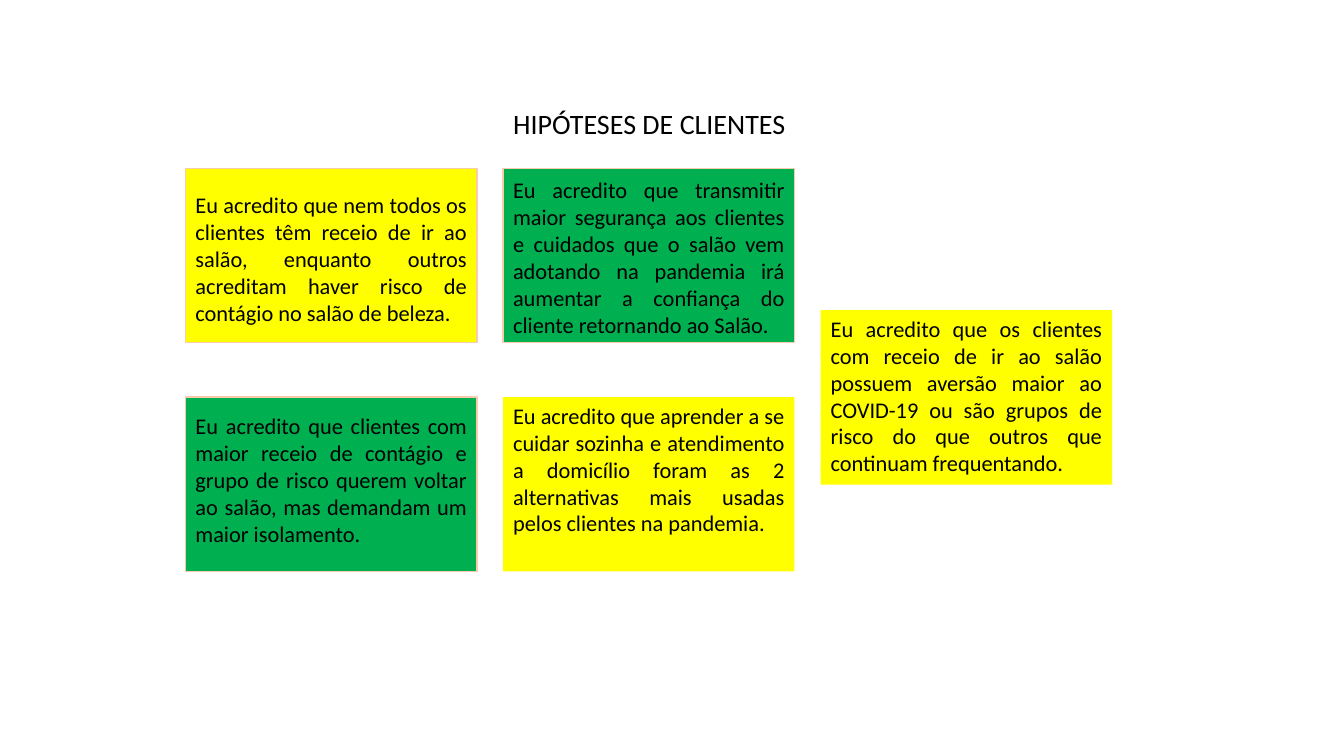
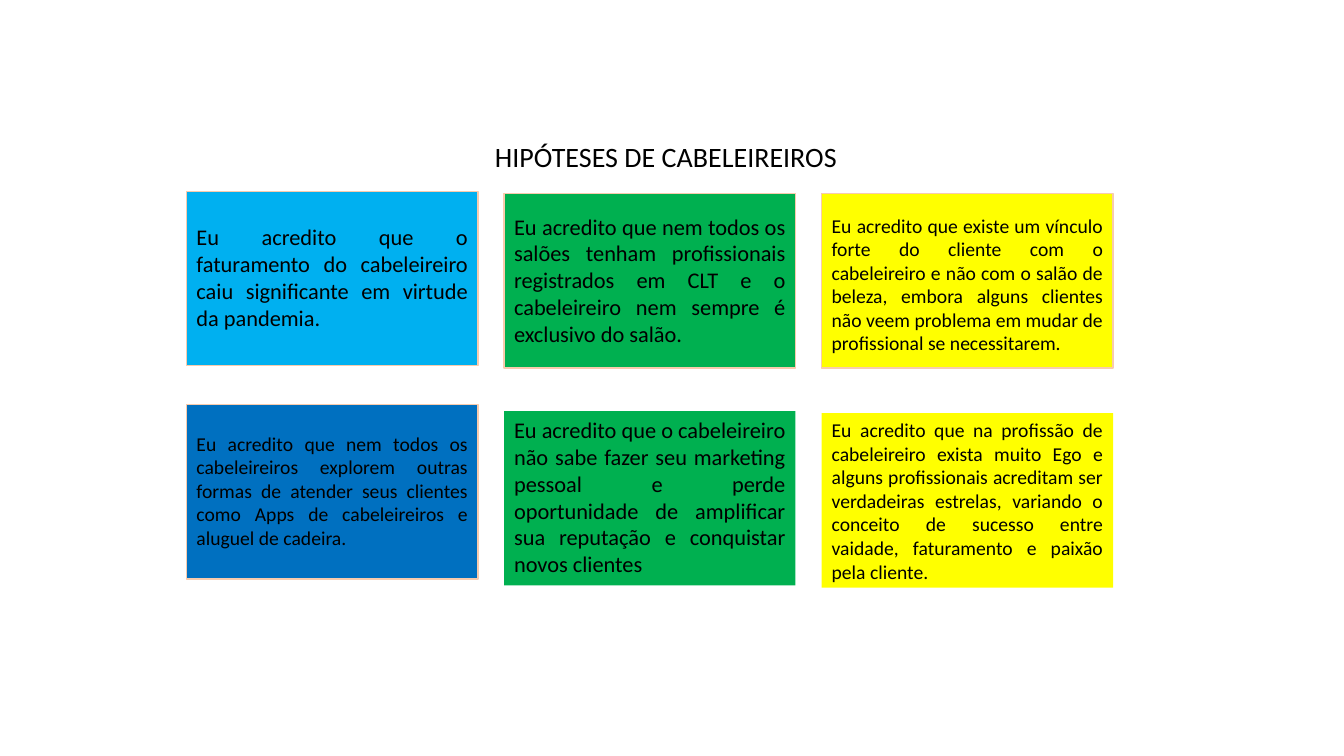
from dataclasses import dataclass

from pptx import Presentation
from pptx.dml.color import RGBColor
from pptx.enum.shapes import MSO_SHAPE
from pptx.enum.text import MSO_ANCHOR, PP_ALIGN
from pptx.util import Inches, Pt


@dataclass(frozen=True)
class Theme:
    font: str = "Calibri"
    ink: str = "000000"
    border: str = "F8CBAD"
    yellow: str = "FFFF00"
    green: str = "00B050"
    sky: str = "00B0F0"
    blue: str = "0070C0"
    title_size: int = 20
    body_size: int = 16
    small_size: int = 14
    border_width: int = 1


@dataclass(frozen=True)
class Grid:
    left: float
    top: float
    row_pitch: float
    column_pitch: float = 3.15
    card_width: float = 2.89
    card_height: float = 1.73

    def place(self, column, row):
        return (Inches(self.left + column * self.column_pitch),
                Inches(self.top + row * self.row_pitch))


@dataclass(frozen=True)
class Hypothesis:
    column: float
    row: float
    color: str
    text: str
    text_drop: float = 0
    size: int = Theme.body_size
    bordered: bool = True


THEME = Theme()
SLIDE_WIDTH, SLIDE_HEIGHT = 13.33, 7.5
TITLE_HEIGHT = 0.44
TEXT_INSET = 0.05

CLIENTS = [
    Hypothesis(0, 0, THEME.yellow,
               "Eu acredito que nem todos os clientes têm receio de ir ao salão, "
               "enquanto outros acreditam haver risco de contágio no salão de beleza.",
               text_drop=0.18),
    Hypothesis(1, 0, THEME.green,
               "Eu acredito que transmitir maior segurança aos clientes e cuidados "
               "que o salão vem adotando na pandemia irá aumentar a confiança do "
               "cliente retornando ao Salão.",
               text_drop=0.03),
    Hypothesis(2, 0.62, THEME.yellow,
               "Eu acredito que os clientes com receio de ir ao salão possuem aversão "
               "maior ao COVID-19 ou são grupos de risco do que outros que continuam "
               "frequentando.",
               bordered=False),
    Hypothesis(0, 1, THEME.green,
               "Eu acredito que clientes com maior receio de contágio e grupo de risco "
               "querem voltar ao salão, mas demandam um maior isolamento.",
               text_drop=0.1),
    Hypothesis(1, 1, THEME.yellow,
               "Eu acredito que aprender a se cuidar sozinha e atendimento a domicílio "
               "foram as 2 alternativas mais usadas pelos clientes na pandemia.",
               bordered=False),
]

HAIRDRESSERS = [
    Hypothesis(0, -0.01, THEME.sky,
               "Eu acredito que o faturamento do cabeleireiro caiu significante em "
               "virtude da pandemia.",
               text_drop=0.27),
    Hypothesis(1, 0, THEME.green,
               "Eu acredito que nem todos os salões tenham profissionais registrados "
               "em CLT e o cabeleireiro nem sempre é exclusivo do salão.",
               text_drop=0.14),
    Hypothesis(2, 0, THEME.yellow,
               "Eu acredito que existe um vínculo forte do cliente com o cabeleireiro "
               "e não com o salão de beleza, embora alguns clientes não veem problema "
               "em mudar de profissional se necessitarem.",
               text_drop=0.15, size=THEME.small_size),
    Hypothesis(0, 0.96, THEME.blue,
               "Eu acredito que nem todos os cabeleireiros explorem outras formas de "
               "atender seus clientes como Apps de cabeleireiros e aluguel de cadeira.",
               text_drop=0.22, size=THEME.small_size),
    Hypothesis(1, 0.99, THEME.green,
               "Eu acredito que o cabeleireiro não sabe fazer seu marketing pessoal e "
               "perde oportunidade de amplificar sua reputação e conquistar novos "
               "clientes",
               bordered=False),
    Hypothesis(2, 1, THEME.yellow,
               "Eu acredito que na profissão de cabeleireiro exista muito Ego e alguns "
               "profissionais acreditam ser verdadeiras estrelas, variando o conceito "
               "de sucesso entre vaidade, faturamento e paixão pela cliente.",
               size=THEME.small_size, bordered=False),
]


def write(frame, text, size, align):
    frame.word_wrap = True
    frame.vertical_anchor = MSO_ANCHOR.TOP
    frame.text = text
    paragraph = frame.paragraphs[0]
    paragraph.alignment = align
    font = paragraph.runs[0].font
    font.name = THEME.font
    font.size = Pt(size)
    font.color.rgb = RGBColor.from_string(THEME.ink)


def add_title(slide, grid, text, column, row, columns_wide):
    title = slide.shapes.add_textbox(
        *grid.place(column, row),
        Inches(columns_wide * grid.column_pitch), Inches(TITLE_HEIGHT))
    write(title.text_frame, text, THEME.title_size, PP_ALIGN.LEFT)


def add_card(slide, grid, hypothesis):
    card = slide.shapes.add_shape(
        MSO_SHAPE.RECTANGLE, *grid.place(hypothesis.column, hypothesis.row),
        Inches(grid.card_width), Inches(grid.card_height))
    card.shadow.inherit = False
    card.fill.solid()
    card.fill.fore_color.rgb = RGBColor.from_string(hypothesis.color)
    if hypothesis.bordered:
        card.line.color.rgb = RGBColor.from_string(THEME.border)
        card.line.width = Pt(THEME.border_width)
    else:
        card.line.fill.background()
    card.text_frame.margin_top = Inches(TEXT_INSET + hypothesis.text_drop)
    card.text_frame.margin_bottom = 0
    write(card.text_frame, hypothesis.text, hypothesis.size, PP_ALIGN.JUSTIFY)


def add_hypotheses_slide(deck, grid, title, title_spot, hypotheses):
    slide = deck.slides.add_slide(deck.slide_layouts[6])
    add_title(slide, grid, title, *title_spot)
    for hypothesis in hypotheses:
        add_card(slide, grid, hypothesis)


def main():
    deck = Presentation()
    deck.slide_width = Inches(SLIDE_WIDTH)
    deck.slide_height = Inches(SLIDE_HEIGHT)
    add_hypotheses_slide(deck, Grid(1.84, 1.67, 2.27), "HIPÓTESES DE CLIENTES",
                         (1, -0.29, 1), CLIENTS)
    add_hypotheses_slide(deck, Grid(1.85, 1.92, 2.18), "HIPÓTESES DE CABELEIREIROS",
                         (0.94, -0.27, 1.18), HAIRDRESSERS)
    deck.save("out.pptx")


if __name__ == "__main__":
    main()
